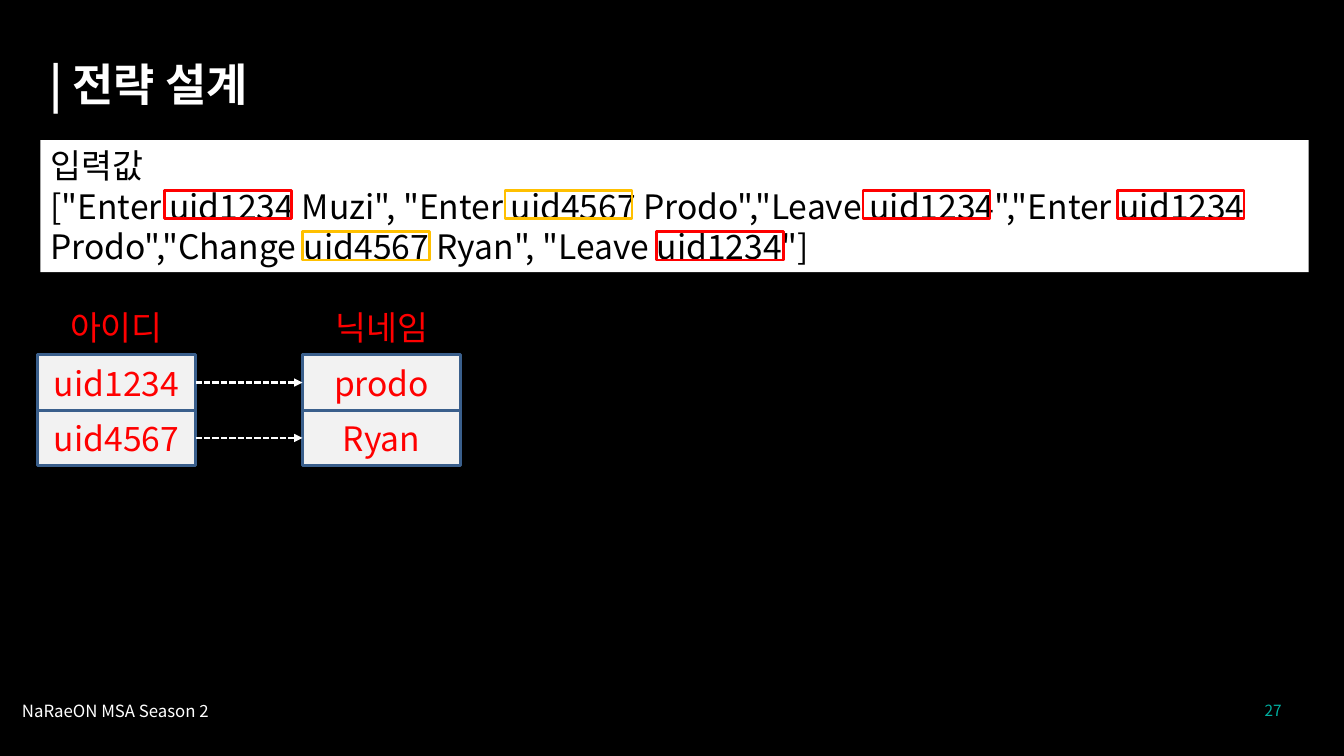
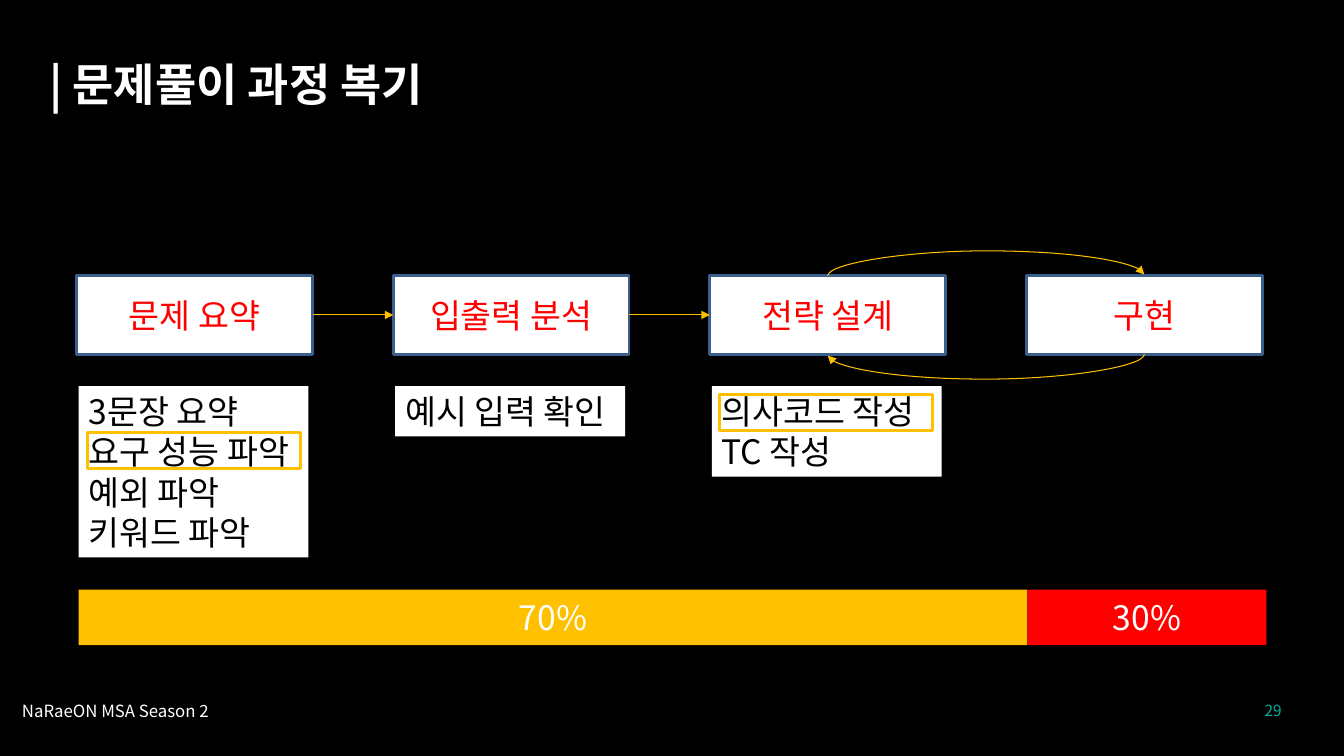
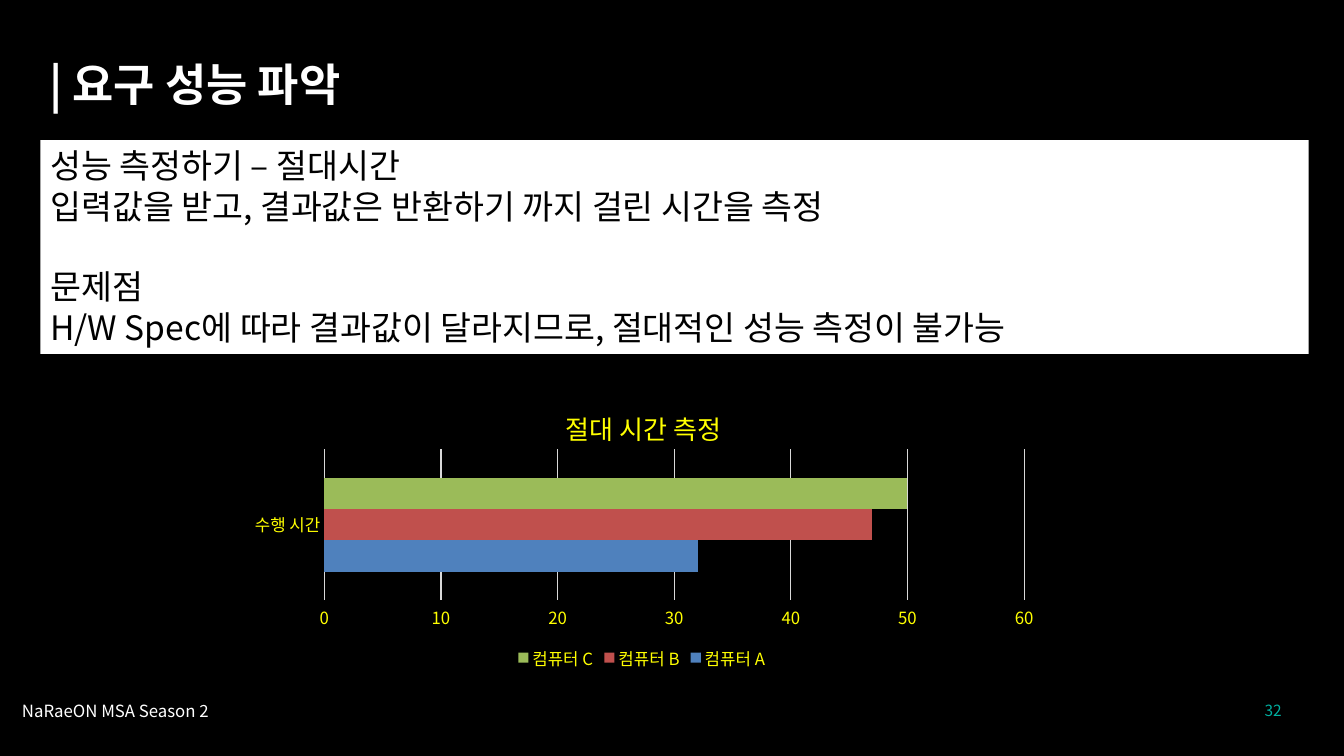
import pptx
import pptx.chart.data
import pptx.dml.color
import pptx.enum.chart
import pptx.enum.dml
import pptx.enum.shapes
import pptx.enum.text
import pptx.oxml.ns
import pptx.util
from lxml import etree

Inches = pptx.util.Inches
Pt = pptx.util.Pt
qn = pptx.oxml.ns.qn
ALIGN = pptx.enum.text.PP_ALIGN
ANCHOR = pptx.enum.text.MSO_ANCHOR
CONNECTOR = pptx.enum.shapes.MSO_CONNECTOR
TOP, LEFT, BOTTOM, RIGHT = range(4)  # connection sites of a rectangle

FONT = "Noto Sans CJK KR"
COLORS = {
    "black": "000000", "white": "FFFFFF", "teal": "00AFA0", "red": "FF0000",
    "amber": "FFC000", "border": "3A5F8C", "cell": "F2F2F2", "yellow": "FFFF00",
    "grid": "D9D9D9", "blue": "4F81BD", "brick": "C0504D", "green": "9BBB59",
}


def rgb(color):
    return pptx.dml.color.RGBColor.from_string(COLORS[color])


class Deck:
    """Holds the shared style and the slide being filled."""

    def __init__(self):
        self.presentation = pptx.Presentation()
        self.presentation.slide_width = Inches(13.33)
        self.presentation.slide_height = Inches(7.5)
        self.slide = None

    def new_slide(self, title, number):
        self.slide = self.presentation.slides.add_slide(self.presentation.slide_layouts[6])
        background = self.slide.background.fill
        background.solid()
        background.fore_color.rgb = rgb("black")
        self.text((12.13, 6.91, 0.68, 0.29), str(number), "teal", 11, ALIGN.RIGHT)
        self.text((0.12, 6.9, 2.1, 0.3), "NaRaeON MSA Season 2", "white", 12)
        box = self.text((0.39, 0.35, 12, 0.8), "| " + title, "white", 32, bold=True)
        box.text_frame.paragraphs[0].line_spacing = 1.3

    def style_font(self, font, size, color, bold=False):
        font.size = Pt(size)
        font.bold = bold
        font.color.rgb = rgb(color)
        font.name = FONT
        etree.SubElement(font._element, qn("a:ea")).set("typeface", FONT)

    def add_lines(self, shape, lines, color, size=24, align=ALIGN.LEFT, anchor=ANCHOR.TOP,
                  bold=False):
        frame = shape.text_frame
        frame.word_wrap = True
        frame.vertical_anchor = anchor
        for index, line in enumerate(lines):
            paragraph = frame.paragraphs[0] if index == 0 else frame.add_paragraph()
            paragraph.alignment = align
            run = paragraph.add_run()
            run.text = line
            self.style_font(run.font, size, color, bold)

    def text(self, place, content, color, size=24, align=ALIGN.LEFT, anchor=ANCHOR.TOP, bold=False):
        box = self.slide.shapes.add_textbox(*map(Inches, place))
        self.add_lines(box, [content], color, size, align, anchor, bold)
        return box

    def rectangle(self, place, fill=None, line=None, width=2):
        shape = self.slide.shapes.add_shape(
            pptx.enum.shapes.MSO_SHAPE.RECTANGLE, *map(Inches, place))
        shape.shadow.inherit = False
        if fill:
            shape.fill.solid()
            shape.fill.fore_color.rgb = rgb(fill)
        else:
            shape.fill.background()
        if line:
            shape.line.color.rgb = rgb(line)
            shape.line.width = Pt(width)
        else:
            shape.line.fill.background()
        return shape

    def label_box(self, place, label, fill, line=None, color="red"):
        shape = self.rectangle(place, fill, line)
        self.add_lines(shape, [label], color, align=ALIGN.CENTER, anchor=ANCHOR.MIDDLE)
        return shape

    def panel(self, left, top, width, height, lines):
        """White box of black lines."""
        shape = self.rectangle((left, top, width, height), "white")
        self.add_lines(shape, lines, "black")
        return shape

    def arrow(self, start, start_site, end, end_site, color, width, dash=None,
              kind=CONNECTOR.STRAIGHT):
        connector = self.slide.shapes.add_connector(kind, 0, 0, 0, 0)
        connector.begin_connect(start, start_site)
        connector.end_connect(end, end_site)
        connector.line.color.rgb = rgb(color)
        connector.line.width = Pt(width)
        if dash:
            connector.line.dash_style = dash
        line = connector.line._get_or_add_ln()
        etree.SubElement(line, qn("a:tailEnd")).set("type", "triangle")
        etree.SubElement(connector._element.spPr, qn("a:effectLst"))
        return connector

    def loop_arrow(self, start, end, site):
        """Curved arrow that leaves and enters on the same side, TOP or BOTTOM."""
        connector = self.arrow(start, site, end, site, "amber", 0.75, kind=CONNECTOR.CURVE)
        span = abs(connector.end_x - connector.begin_x)
        center_x = (connector.begin_x + connector.end_x) // 2
        center_y = connector.begin_y
        depth = Pt(1)
        connector.width, connector.height = depth, span
        connector.left = center_x - depth // 2
        connector.top = center_y - span // 2
        transform = connector._element.spPr.find(qn("a:xfrm"))
        transform.set("rot", "5400000")
        for flip in ("flipH", "flipV"):
            transform.set(flip, "1" if site == TOP else "0")
        adjustments = connector._element.spPr.find(qn("a:prstGeom")).get_or_add_avLst()
        guide = etree.SubElement(adjustments, qn("a:gd"))
        guide.set("name", "adj1")
        guide.set("fmla", "val 1800000")

    def place_in_chart(self, parent, before, **values):
        """Give a chart part a manual layout, as fractions of the chart."""
        for old in parent.findall(qn("c:layout")):
            parent.remove(old)
        layout = etree.Element(qn("c:layout"))
        manual = etree.SubElement(layout, qn("c:manualLayout"))
        for name, value in values.items():
            etree.SubElement(manual, qn("c:" + name)).set("val", str(value))
        parent.find(qn(before)).addprevious(layout)

    def bar_chart(self, place, title, category, series):
        """series: (name, value, color) for each bar."""
        data = pptx.chart.data.CategoryChartData()
        data.categories = [category]
        for name, value, _ in series:
            data.add_series(name, [value])
        chart = self.slide.shapes.add_chart(
            pptx.enum.chart.XL_CHART_TYPE.BAR_CLUSTERED, *map(Inches, place), data).chart
        self.style_font(chart.font, 10, "yellow")

        chart.has_title = True
        run = chart.chart_title.text_frame.paragraphs[0].add_run()
        run.text = title
        self.style_font(run.font, 18.6, "yellow")
        chart.has_legend = True
        chart.legend.position = pptx.enum.chart.XL_LEGEND_POSITION.BOTTOM
        chart.legend.include_in_layout = False
        self.style_font(chart.legend.font, 12, "yellow")

        for axis in (chart.category_axis, chart.value_axis):
            axis.major_tick_mark = axis.minor_tick_mark = pptx.enum.chart.XL_TICK_MARK.NONE
            self.style_font(axis.tick_labels.font, 12, "yellow")
        values = chart.value_axis
        values.minimum_scale, values.maximum_scale, values.major_unit = 0, 60, 10
        values.format.line.fill.background()
        for line in (chart.category_axis.format.line, values.major_gridlines.format.line):
            line.color.rgb = rgb("grid")
            line.width = Pt(0.75)

        plot = chart.plots[0]
        plot.gap_width = 182
        plot.overlap = 0
        plot.vary_by_categories = False
        for bar, (_, _, color) in zip(plot.series, series):
            bar.format.fill.solid()
            bar.format.fill.fore_color.rgb = rgb(color)

        self.place_in_chart(chart.chart_title._element, "c:overlay",
                            xMode="edge", yMode="edge", x=0.4, y=0.08)
        self.place_in_chart(chart._chartSpace.chart.plotArea, "c:barChart",
                            layoutTarget="inner", xMode="edge", yMode="edge",
                            x=0.11, y=0.24, w=0.86, h=0.51)


def build_strategy(deck):
    deck.new_slide("전략 설계", 27)
    deck.panel(0.4, 1.39, 12.58, 1.31, [
        "입력값",
        '["Enter uid1234 Muzi", "Enter uid4567 Prodo","Leave uid1234",'
        '"Enter uid1234 Prodo","Change uid4567 Ryan", "Leave uid1234"]',
    ])
    id_left, name_left, width, height = 0.37, 3, 1.57, 0.55
    for left, heading in ((id_left, "아이디"), (name_left, "닉네임")):
        deck.text((left, 2.97, width, height), heading, "red",
                  align=ALIGN.CENTER, anchor=ANCHOR.MIDDLE)
    for row, (user_id, nickname) in enumerate((("uid1234", "prodo"), ("uid4567", "Ryan"))):
        top = 3.52 + row * height
        id_box, name_box = (
            deck.label_box((left, top, width, height), label, "cell", "border")
            for left, label in ((id_left, user_id), (name_left, nickname)))
        deck.arrow(id_box, RIGHT, name_box, LEFT, "white", 1.5,
                   pptx.enum.dml.MSO_LINE.SQUARE_DOT)
    marks = {
        "red": ((1.63, 1.89), (8.56, 1.89), (11.08, 1.89), (6.51, 2.3)),
        "amber": ((5.01, 1.89), (3, 2.3)),
    }
    for color, corners in marks.items():
        for left, top in corners:
            deck.rectangle((left, top, 1.26, 0.28), line=color)


def build_review(deck):
    deck.new_slide("문제풀이 과정 복기", 29)
    step = 3.14
    stages = [
        deck.label_box((0.76 + index * step, 2.73, 2.34, 0.79), label, "white", "border")
        for index, label in enumerate(("문제 요약", "입출력 분석", "전략 설계", "구현"))]
    summary, analysis, strategy, coding = stages
    for start, end in ((summary, analysis), (analysis, strategy)):
        deck.arrow(start, RIGHT, end, LEFT, "amber", 0.75)
    deck.loop_arrow(coding, strategy, BOTTOM)
    deck.loop_arrow(strategy, coding, TOP)

    tasks = (
        ("3문장 요약", "요구 성능 파악", "예외 파악", "키워드 파악"),
        ("예시 입력 확인",),
        ("의사코드 작성", "TC 작성"),
    )
    for index, lines in enumerate(tasks):
        deck.panel(0.78 + index * step, 3.83, 2.28, 0.1 + 0.4 * len(lines), lines)
    for left, top in ((0.87, 4.29), (7.14, 3.91)):
        deck.rectangle((left, top, 2.11, 0.36), line="amber", width=2.25)
    for left, width, share, fill in ((0.78, 9.41, "70%", "amber"), (10.19, 2.37, "30%", "red")):
        deck.label_box((left, 5.85, width, 0.55), share, fill, color="white")


def build_performance(deck):
    deck.new_slide("요구 성능 파악", 32)
    panel = deck.panel(0.4, 1.39, 12.58, 2.12, [
        "성능 측정하기 – 절대시간",
        "입력값을 받고, 결과값은 반환하기 까지 걸린 시간을 측정",
        "문제점",
        "H/W Spec에 따라 결과값이 달라지므로, 절대적인 성능 측정이 불가능",
    ])
    panel.text_frame.paragraphs[2].space_before = Pt(29)
    deck.bar_chart((2.33, 3.75, 8.07, 2.94), "절대 시간 측정", "수행 시간", (
        ("컴퓨터 A", 32, "blue"), ("컴퓨터 B", 47, "brick"), ("컴퓨터 C", 50, "green")))


def main():
    deck = Deck()
    build_strategy(deck)
    build_review(deck)
    build_performance(deck)
    deck.presentation.save("out.pptx")


if __name__ == "__main__":
    main()
